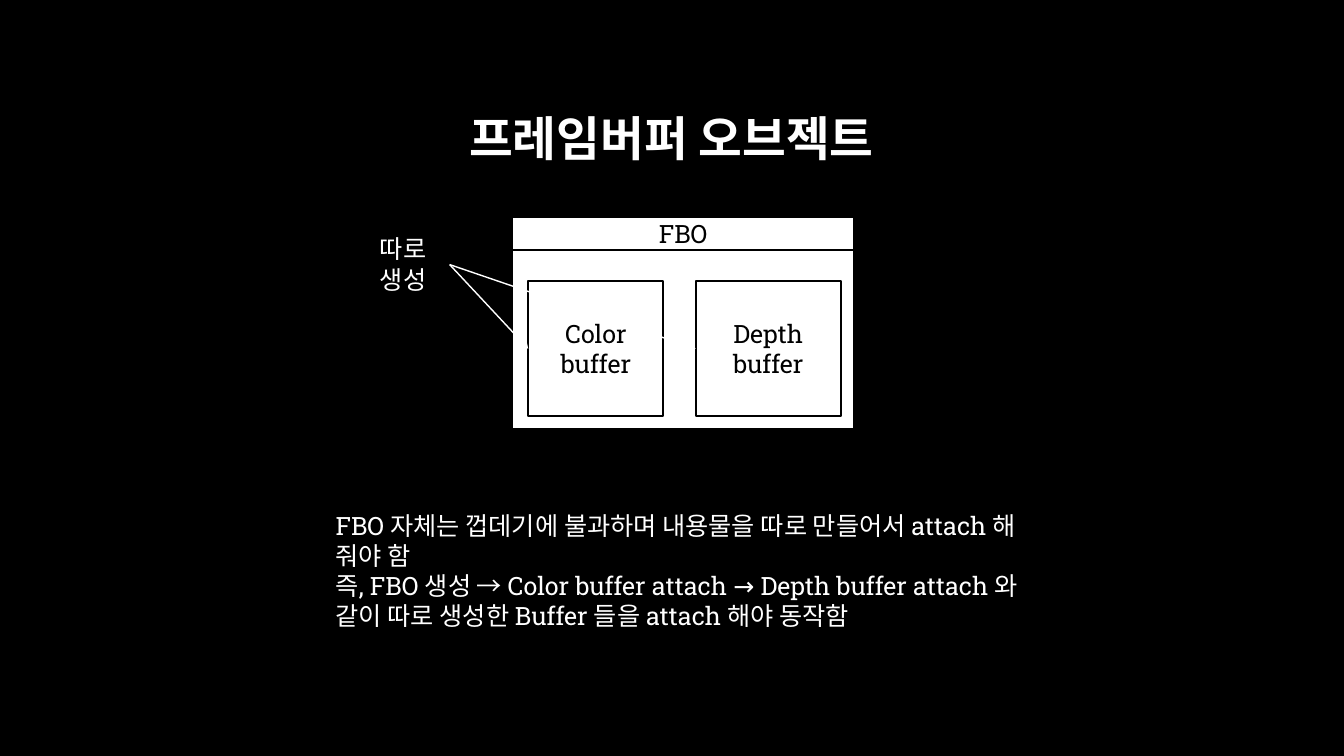
from lxml import etree
from pptx import Presentation
from pptx import util as u
from pptx.dml import color
from pptx.enum import shapes, text
from pptx.oxml import ns

BLACK, WHITE = "000000", "FFFFFF"
BODY = {"size": u.Pt(18), "name": "Roboto Slab", "bold": False}
HEADING = {**BODY, "size": u.Pt(34), "bold": True}
CENTER = {"alignment": text.PP_ALIGN.CENTER}


def rgb(hex_value):
    return color.RGBColor.from_string(hex_value)


def apply(target, values):
    for key, value in values.items():
        setattr(target, key, value)


def write(holder, lines, ink, font=BODY, layout=None, anchor=text.MSO_ANCHOR.TOP):
    frame = holder.text_frame
    apply(frame, {"word_wrap": True, "vertical_anchor": anchor})
    for index, line in enumerate(lines):
        paragraph = frame.add_paragraph() if index else frame.paragraphs[0]
        apply(paragraph, layout or {})
        run = paragraph.add_run()
        run.text = line
        apply(run.font, font)
        run.font.color.rgb = rgb(ink)


def add_words(slide, box, lines, **style):
    words = slide.shapes.add_textbox(*map(u.Inches, box))
    write(words, lines, WHITE, **style)


def add_buffer(slide, box, label=None):
    block = slide.shapes.add_shape(shapes.MSO_SHAPE.RECTANGLE, *map(u.Inches, box))
    block.shadow.inherit = False
    block.fill.solid()
    block.fill.fore_color.rgb = rgb(WHITE)
    block.line.color.rgb = rgb(BLACK)
    block.line.width = u.Pt(1.5)
    if label:
        write(block, [label], BLACK, layout=CENTER, anchor=text.MSO_ANCHOR.MIDDLE)


def add_arrow(slide, start, end):
    arrow = slide.shapes.add_connector(
        shapes.MSO_CONNECTOR.STRAIGHT, *map(u.Inches, (*start, *end)))
    arrow.line.color.rgb = rgb(WHITE)
    arrow.line.width = u.Pt(1)
    tail = etree.SubElement(arrow.line._get_or_add_ln(), ns.qn("a:tailEnd"))
    tail.set("type", "arrow")
    etree.SubElement(arrow._element.spPr, ns.qn("a:effectLst"))


def add_title(slide, box):
    add_words(slide, box, ["프레임버퍼 오브젝트"], font=HEADING,
              layout={**CENTER, "line_spacing": 0.9}, anchor=text.MSO_ANCHOR.MIDDLE)


def add_framebuffer(slide, box):
    left, top, width, height = box
    add_buffer(slide, box)
    add_buffer(slide, (left, top, width, 0.33), "FBO")
    buffers = [("Color buffer", 0.16, 1.34), ("Depth buffer", 1.82, 1.44)]
    buffer_top, buffer_height = top + 0.64, 1.34
    for label, offset, buffer_width in buffers:
        add_buffer(slide, (left + offset, buffer_top, buffer_width, buffer_height), label)
    return [(left + offset, buffer_top + buffer_height / 2) for _, offset, _ in buffers]


def add_callout(slide, box, targets):
    left, top, width, height = box
    add_words(slide, box, ["따로 생성"])
    for target in targets:
        add_arrow(slide, (left + width, top + height / 2), target)


def add_explanation(slide, box):
    add_words(slide, box, [
        "FBO 자체는 껍데기에 불과하며 내용물을 따로 만들어서 attach 해 줘야 함",
        "즉, FBO 생성 → Color buffer attach → Depth buffer attach 와 같이 "
        "따로 생성한 Buffer 들을 attach 해야 동작함",
    ])


def main():
    deck = Presentation()
    apply(deck, {"slide_width": u.Inches(13.33), "slide_height": u.Inches(7.5)})
    slide = deck.slides.add_slide(deck.slide_layouts[6])
    slide.background.fill.solid()
    slide.background.fill.fore_color.rgb = rgb(BLACK)
    add_title(slide, (1, 0.67, 11.32, 1.45))
    buffer_edges = add_framebuffer(slide, (5.08, 2.15, 3.39, 2.11))
    add_explanation(slide, (3.23, 5.01, 7.09, 1.31))
    add_callout(slide, (3.67, 2.27, 0.79, 0.71), buffer_edges)
    deck.save("out.pptx")


if __name__ == "__main__":
    main()
